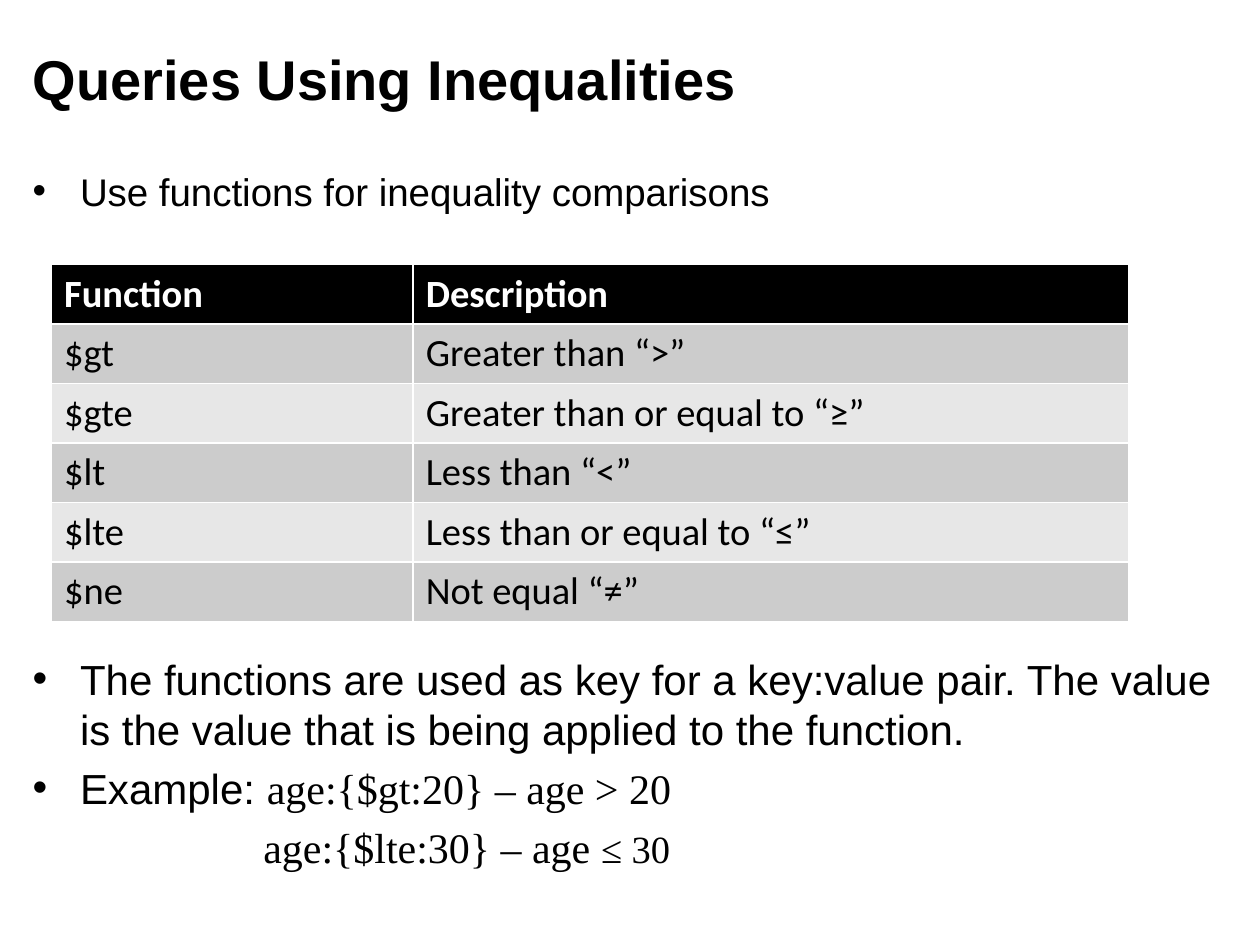
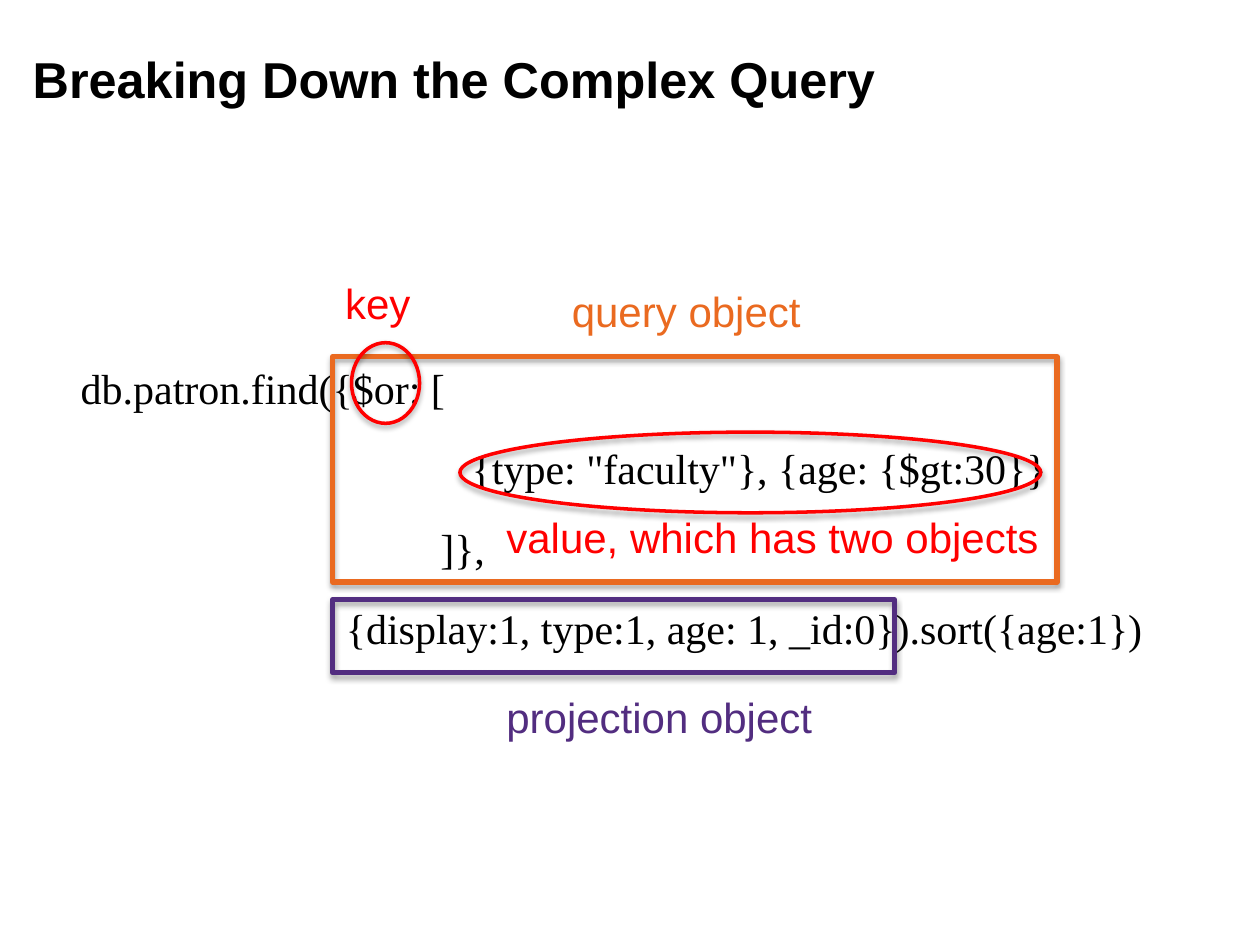
import dataclasses

import pptx
import pptx.dml.color
import pptx.enum.shapes
import pptx.enum.text
import pptx.oxml.ns
import pptx.util
from lxml import etree

Inches = pptx.util.Inches
Pt = pptx.util.Pt
Shape = pptx.enum.shapes.MSO_SHAPE


@dataclasses.dataclass(frozen=True)
class Theme:
    sans: str = "Arial"
    serif: str = "Times New Roman"
    grid: str = "Calibri"
    black: str = "000000"
    white: str = "FFFFFF"
    dark: str = "CCCCCC"
    light: str = "E7E7E7"
    orange: str = "EA6A20"
    purple: str = "522D80"
    red: str = "FF0000"
    head: float = 32
    small_head: float = 28.8
    body: float = 24
    note: float = 22


THEME = Theme()

FUNCTIONS = [
    ("Function", "Description"),
    ("$gt", "Greater than “>”"),
    ("$gte", "Greater than or equal to “≥”"),
    ("$lt", "Less than “<”"),
    ("$lte", "Less than or equal to “≤”"),
    ("$ne", "Not equal “≠”"),
]

CODE = [
    "db.patron.find({$or: [",
    '                                {type: "faculty"}, {age: {$gt:30}}',
    "                             ]},",
    "                    {display:1, type:1, age: 1, _id:0}).sort({age:1})",
]


def tint(code):
    return pptx.dml.color.RGBColor.from_string(code)


def style(font, face, size, color=THEME.black, bold=False):
    font.name = face
    font.size = Pt(size)
    font.bold = bold
    font.color.rgb = tint(color)


def place(shape, left, top, width, height):
    shape.left, shape.top = Inches(left), Inches(top)
    shape.width, shape.height = Inches(width), Inches(height)


def indent(para, left):
    """Replace the bullet of a paragraph by a plain left indent."""
    props = para._p.get_or_add_pPr()
    props.set("marL", str(Inches(left)))
    props.set("indent", "0")
    etree.SubElement(props, pptx.oxml.ns.qn("a:buNone"))


def add_page(deck, title, size):
    slide = deck.slides.add_slide(deck.slide_layouts[1])
    head = slide.shapes.title
    place(head, 0.16, 0.3, 7.52, 0.64)
    frame = head.text_frame
    frame.text = title
    frame.auto_size = pptx.enum.text.MSO_AUTO_SIZE.NONE
    frame.vertical_anchor = pptx.enum.text.MSO_ANCHOR.MIDDLE
    para = frame.paragraphs[0]
    para.alignment = pptx.enum.text.PP_ALIGN.LEFT
    style(para.font, THEME.sans, size, bold=True)
    return slide


def fill_body(slide, box, lines):
    """Put one paragraph per line in the body and return the paragraphs."""
    body = slide.placeholders[1]
    place(body, *box)
    frame = body.text_frame
    frame.text = "\n".join(lines)
    frame.auto_size = pptx.enum.text.MSO_AUTO_SIZE.NONE
    frame.paragraphs[0].space_before = Pt(0)
    return frame.paragraphs


def add_run(para, text, face, size):
    run = para.add_run()
    run.text = text
    style(run.font, face, size)


def add_grid(slide, rows, left, top, widths, height):
    frame = slide.shapes.add_table(
        len(rows), len(widths), Inches(left), Inches(top),
        Inches(sum(widths)), Inches(height * len(rows)))
    grid = frame.table
    for column, width in zip(grid.columns, widths):
        column.width = Inches(width)
    for r, row in enumerate(rows):
        top_row = r == 0
        shade = THEME.black if top_row else (THEME.light, THEME.dark)[r % 2]
        ink = THEME.white if top_row else THEME.black
        for c, text in enumerate(row):
            cell = grid.cell(r, c)
            cell.text = text
            cell.fill.solid()
            cell.fill.fore_color.rgb = tint(shade)
            font = cell.text_frame.paragraphs[0].font
            style(font, THEME.grid, THEME.note, ink, top_row)


def add_frame(slide, kind, box, color, weight):
    """Draw a hollow outline that keeps the theme's soft shadow."""
    shape = slide.shapes.add_shape(kind, *map(Inches, box))
    shape.fill.background()
    shape.line.color.rgb = tint(color)
    shape.line.width = Pt(weight)


def add_label(slide, text, left, top, width, color):
    box = slide.shapes.add_textbox(*map(Inches, (left, top, width, 0.5)))
    box.text_frame.word_wrap = True
    box.text_frame.text = text
    style(box.text_frame.paragraphs[0].font, THEME.sans, THEME.body, color)


def build_functions(deck):
    slide = add_page(deck, "Queries Using Inequalities", THEME.head)
    intro, usage, first, second = fill_body(slide, (0.16, 1.28, 9.59, 5.92), [
        "Use functions for inequality comparisons",
        "The functions are used as key for a key:value pair. "
        "The value is the value that is being applied to the function.",
        "", "",
    ])
    style(intro.font, THEME.sans, THEME.note)
    usage.space_before = Pt(251)
    style(usage.font, THEME.sans, THEME.body)
    add_run(first, "Example: ", THEME.sans, THEME.body)
    add_run(first, "age:{$gt:20} – age > 20", THEME.serif, THEME.body)
    indent(second, 1.83)
    add_run(second, "age:{$lte:30} – age ", THEME.serif, THEME.body)
    add_run(second, "≤ 30", THEME.serif, THEME.note)
    add_grid(slide, FUNCTIONS, 0.41, 2.1, (2.87, 5.68), 0.47)


def build_query(deck):
    slide = add_page(deck, "Breaking Down the Complex Query", THEME.small_head)
    for i, para in enumerate(fill_body(slide, (0.54, 2.83, 8.9, 3.72), CODE)):
        indent(para, 0.44 if i else 0)
        para.space_after = Pt(12)
        style(para.font, THEME.serif, THEME.body)

    for kind, box, color, weight in [
        (Shape.RECTANGLE, (2.64, 2.83, 5.75, 1.79), THEME.orange, 3),
        (Shape.RECTANGLE, (2.64, 4.76, 4.46, 0.58), THEME.purple, 3),
        (Shape.OVAL, (2.79, 2.72, 0.54, 0.64), THEME.red, 2),
        (Shape.OVAL, (3.65, 3.43, 4.61, 0.64), THEME.red, 2),
    ]:
        add_frame(slide, kind, box, color, weight)

    for label in [
        ("query object", 4.44, 2.22, 2.53, THEME.orange),
        ("projection object", 3.92, 5.44, 3.05, THEME.purple),
        ("key", 2.64, 2.15, 1.15, THEME.red),
        ("value, which has two objects", 3.92, 4.01, 4.61, THEME.red),
    ]:
        add_label(slide, *label)


def main():
    deck = pptx.Presentation()
    deck.slide_width, deck.slide_height = Inches(10), Inches(7.5)
    build_functions(deck)
    build_query(deck)
    deck.save("out.pptx")


if __name__ == "__main__":
    main()
